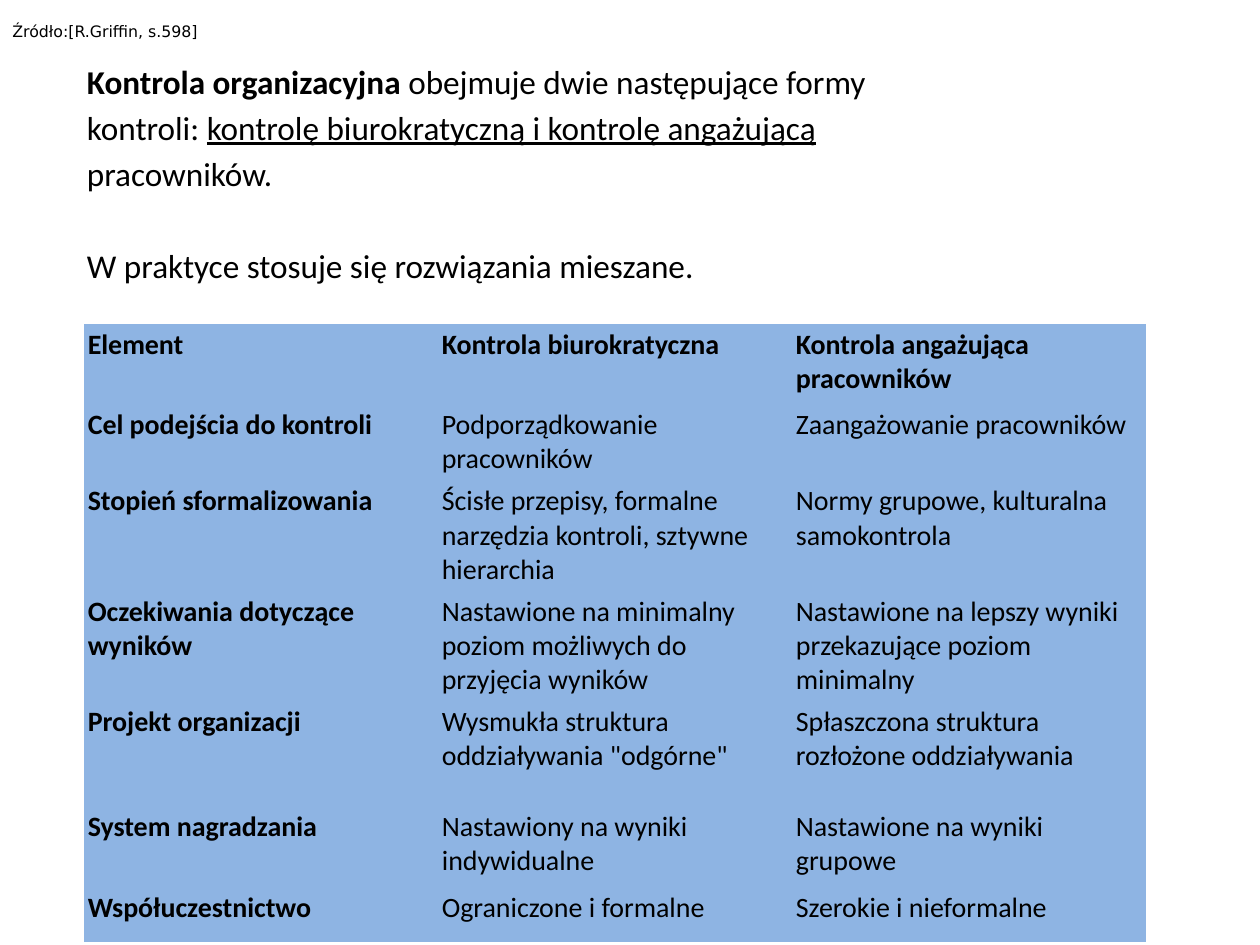
from pptx import Presentation
from pptx.dml.color import RGBColor
from pptx.enum.text import MSO_ANCHOR, MSO_AUTO_SIZE, PP_ALIGN
from pptx.oxml.ns import qn
from pptx.util import Pt

MIDDLE = MSO_ANCHOR.MIDDLE
JUSTIFY = PP_ALIGN.JUSTIFY
NO_AUTOFIT = MSO_AUTO_SIZE.NONE
TITLE_AND_CONTENT = 1
NO_STYLE_NO_GRID = "{2D5ABB26-0587-4C30-8999-92F81FD0307C}"

COLORS = {"text": "000000", "table": "8EB4E3"}

# Each paragraph: space before in points, then runs of (text, bold, underline)
INTRO = [
    (3.4, [("Kontrola organizacyjna ", True, False),
           ("obejmuje dwie następujące formy", False, False)]),
    (3.4, [("kontroli: ", False, False),
           ("kontrolę biurokratyczną i kontrolę angażującą", False, True)]),
    (3.4, [("pracowników.", False, False)]),
    (30, [("W praktyce stosuje się rozwiązania mieszane.", False, False)]),
]

COMPARISON = [
    ("Element", "Kontrola biurokratyczna", "Kontrola angażująca pracowników"),
    ("Cel podejścia do kontroli", "Podporządkowanie pracowników",
     "Zaangażowanie pracowników"),
    ("Stopień sformalizowania",
     "Ścisłe przepisy, formalne narzędzia kontroli, sztywne hierarchia",
     "Normy grupowe, kulturalna samokontrola"),
    ("Oczekiwania dotyczące wyników",
     "Nastawione na minimalny poziom możliwych do przyjęcia wyników",
     "Nastawione na lepszy wyniki przekazujące poziom minimalny"),
    ("Projekt organizacji", 'Wysmukła struktura oddziaływania "odgórne"',
     "Spłaszczona struktura rozłożone oddziaływania"),
    ("System nagradzania", "Nastawiony na wyniki indywidualne",
     "Nastawione na wyniki grupowe"),
    ("Współuczestnictwo", "Ograniczone i formalne", "Szerokie i nieformalne"),
]
ROW_HEIGHTS = [46, 31.6, 60, 60, 60, 46, 31.6]


class SlideBuilder:
    """Holds the text style and the slide being filled."""

    def __init__(self, slide, font="Calibri"):
        self.slide = slide
        self.font = font

    def style(self, paragraph, size, bold=None, font=None):
        paragraph.font.name = font or self.font
        paragraph.font.size = Pt(size)
        paragraph.font.bold = bold
        paragraph.font.color.rgb = RGBColor.from_string(COLORS["text"])

    def body(self, paragraphs, left, top, width, height, size):
        body = self.slide.placeholders[1]
        body.left, body.top = Pt(left), Pt(top)
        body.width, body.height = Pt(width), Pt(height)
        frame = body.text_frame
        frame.auto_size = NO_AUTOFIT
        for index, (space_before, runs) in enumerate(paragraphs):
            paragraph = frame.add_paragraph() if index else frame.paragraphs[0]
            paragraph.space_before = Pt(space_before)
            self.style(paragraph, size)
            self.hang_without_bullet(paragraph, 27)
            for text, bold, underline in runs:
                run = paragraph.add_run()
                run.text = text
                run.font.bold = bold
                run.font.underline = underline

    def hang_without_bullet(self, paragraph, indent):
        properties = paragraph.font._element.getparent()
        properties.set("marL", str(Pt(indent)))
        properties.set("indent", str(-Pt(indent)))
        no_bullet = properties.makeelement(qn("a:buNone"), {})
        properties.find(qn("a:defRPr")).addprevious(no_bullet)

    def table(self, rows, heights, left, top, width, size, margin):
        """Draw a plain filled table with bold first row and first column."""
        holder = self.slide.shapes.add_table(
            len(rows), len(rows[0]), Pt(left), Pt(top), Pt(width), Pt(sum(heights)))
        holder.element.find(".//" + qn("a:tableStyleId")).text = NO_STYLE_NO_GRID
        table = holder.table
        table.first_row = table.horz_banding = False
        for row_index, (texts, height) in enumerate(zip(rows, heights)):
            table.rows[row_index].height = Pt(height)
            for column_index, text in enumerate(texts):
                cell = table.cell(row_index, column_index)
                cell.text = text
                cell.margin_left = cell.margin_right = Pt(margin)
                cell.margin_top = cell.margin_bottom = Pt(margin)
                cell.fill.solid()
                cell.fill.fore_color.rgb = RGBColor.from_string(COLORS["table"])
                is_heading = row_index == 0 or column_index == 0
                self.style(cell.text_frame.paragraphs[0], size, is_heading)

    def source_note(self, text, left, top, width, height, size):
        frame = self.slide.shapes.add_textbox(
            Pt(left), Pt(top), Pt(width), Pt(height)).text_frame
        frame.word_wrap = True
        frame.vertical_anchor = MIDDLE
        citation = frame.paragraphs[0]
        citation.text = text
        citation.alignment = JUSTIFY
        self.style(citation, size, font="DejaVu Sans")


def main():
    deck = Presentation()
    deck.slide_width, deck.slide_height = Pt(720), Pt(540)
    slide = deck.slides.add_slide(deck.slide_layouts[TITLE_AND_CONTENT])
    empty_title = slide.shapes.title.element
    empty_title.getparent().remove(empty_title)

    builder = SlideBuilder(slide)
    builder.body(INTRO, 42.5, 31.5, 648, 181.5, size=19)
    builder.table(COMPARISON, ROW_HEIGHTS, 48, 185, 607, size=16, margin=2.2)
    builder.source_note("Źródło:[R.Griffin, s.598]", 0, 0, 720, 36, size=9)
    deck.save("out.pptx")


if __name__ == "__main__":
    main()
